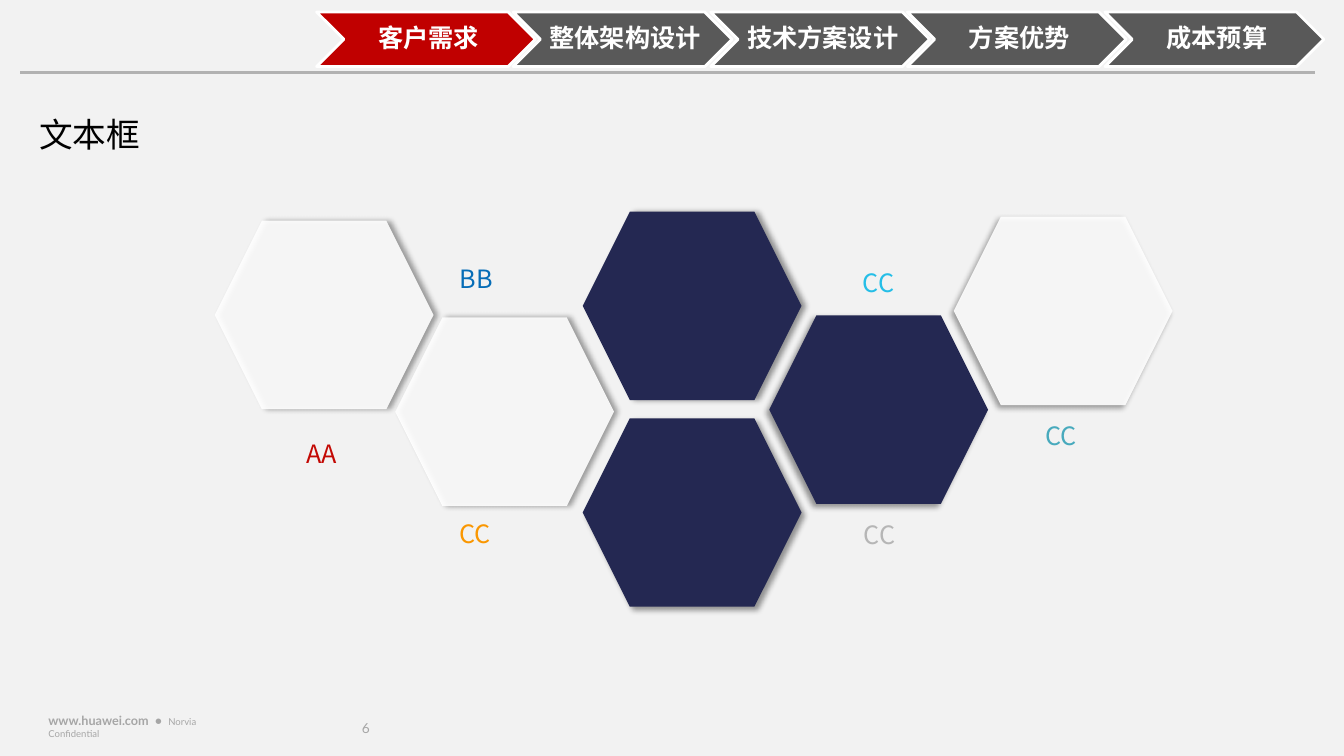
import dataclasses
import typing

import pptx
import pptx.dml.color
import pptx.enum.shapes
import pptx.enum.text
import pptx.oxml
import pptx.oxml.ns
import pptx.oxml.xmlchemy
import pptx.util

PX = 9144
CJK = "Noto Sans CJK SC"
LATIN = "Lato"
NAVY, WHITE, RED, DARK = "242852", "FFFFFF", "C00000", "595959"
SHAPES = pptx.enum.shapes.MSO_SHAPE
ANCHOR = pptx.enum.text.MSO_ANCHOR
FIT = pptx.enum.text.MSO_AUTO_SIZE
CENTER = pptx.enum.text.PP_ALIGN.CENTER


@dataclasses.dataclass(frozen=True)
class Area:
    left: int
    top: int
    width: int
    height: int

    def emu(self) -> list[int]:
        return [side * PX for side in dataclasses.astuple(self)]


@dataclasses.dataclass(frozen=True)
class Span:
    text: str
    size: float
    color: str
    font: str = CJK
    bold: bool = False


@dataclasses.dataclass(frozen=True)
class Hexagon:
    left: int
    top: int
    fill: str
    shadow_angle: int


@dataclasses.dataclass(frozen=True)
class Label:
    text: str
    left: int
    top: int
    width: int
    color: str


HEXAGONS = [
    Hexagon(578, 415, NAVY, 45),
    Hexagon(392, 315, WHITE, 0),
    Hexagon(763, 313, NAVY, 135),
    Hexagon(946, 215, WHITE, 135),
    Hexagon(578, 210, NAVY, 0),
    Hexagon(213, 219, WHITE, 0),
]
LABELS = [
    Label("AA", 294, 430, 134, "C30904"),
    Label("BB", 446, 256, 81, "066DB7"),
    Label("CC", 446, 509, 103, "FA9701"),
    Label("CC", 847, 510, 103, "B6B6B6"),
    Label("CC", 846, 260, 103, "25BEE7"),
    Label("CC", 1027, 412, 103, "48AABD"),
]
STEPS = ["客户需求", "整体架构设计", "技术方案设计", "方案优势", "成本预算"]


def rgb(color: str) -> pptx.dml.color.RGBColor:
    return pptx.dml.color.RGBColor.from_string(color)


def apply(target: typing.Any, formats: dict[str, typing.Any]) -> None:
    for name, value in formats.items():
        setattr(target, name, value)


def child(parent: typing.Any, tag: str, **attributes: typing.Any) -> typing.Any:
    element = pptx.oxml.xmlchemy.OxmlElement(tag)
    for name, value in attributes.items():
        element.set(name, str(value))
    parent.append(element)
    return element


def add_text(
    page: typing.Any,
    area: Area,
    spans: list[Span],
    frame_formats: dict[str, typing.Any],
    para_formats: dict[str, typing.Any],
) -> None:
    frame = page.shapes.add_textbox(*area.emu()).text_frame
    apply(frame, {"word_wrap": True} | frame_formats)
    para = frame.paragraphs[0]
    apply(para, para_formats)
    for span in spans:
        run = para.add_run()
        run.text = span.text
        size = pptx.util.Pt(span.size)
        apply(run.font, {"name": span.font, "size": size, "bold": span.bold})
        run.font.color.rgb = rgb(span.color)
        child(run.font._element, "a:ea", typeface=span.font)


def add_filled(page: typing.Any, kind: typing.Any, area: Area, color: str) -> typing.Any:
    shape = page.shapes.add_shape(kind, *area.emu())
    shape.shadow.inherit = False
    shape.fill.solid()
    shape.fill.fore_color.rgb = rgb(color)
    return shape


def add_hexagon(page: typing.Any, hexagon: Hexagon) -> None:
    area = Area(hexagon.left, hexagon.top, 217, 187)
    shape = add_filled(page, SHAPES.HEXAGON, area, hexagon.fill)
    shape.line.fill.background()
    properties = shape._element.spPr
    if hexagon.fill == WHITE:
        child(properties.find(".//" + pptx.oxml.ns.qn("a:srgbClr")), "a:alpha", val=90000)
    shadow = child(
        properties.find(pptx.oxml.ns.qn("a:effectLst")),
        "a:outerShdw",
        blurRad=pptx.util.Pt(4),
        dist=pptx.util.Pt(3),
        dir=hexagon.shadow_angle * 60000,
        algn="ctr",
        rotWithShape=0,
    )
    child(child(shadow, "a:srgbClr", val="000000"), "a:alpha", val=40000)


def add_step(page: typing.Any, index: int, text: str) -> None:
    left = 314 + index * 391 // 2
    color = DARK if index else RED
    chevron = add_filled(page, SHAPES.CHEVRON, Area(left, 12, 217, 54), color)
    chevron.line.color.rgb = rgb(WHITE)
    chevron.line.width = pptx.util.Pt(2)
    frame_formats = {
        "vertical_anchor": ANCHOR.MIDDLE,
        "margin_left": 8 * PX,
        "margin_top": 3 * PX,
        "margin_right": 3 * PX,
        "margin_bottom": 3 * PX,
    }
    para_formats = {"alignment": CENTER, "line_spacing": 0.9}
    span = Span(text, 18, WHITE, bold=True)
    add_text(page, Area(left + 27, 12, 163, 54), [span], frame_formats, para_formats)


def add_rule(page: typing.Any) -> None:
    straight = pptx.enum.shapes.MSO_CONNECTOR.STRAIGHT
    rule = page.shapes.add_connector(straight, 20 * PX, 72 * PX, 1304 * PX, 72 * PX)
    rule.line.color.rgb = rgb("B2B2B2")
    rule.line.width = pptx.util.Pt(2.25)
    child(rule._element.spPr, "a:effectLst")


def add_footer(page: typing.Any) -> None:
    gray = "A6A6A6"
    sides = ["margin_left", "margin_top", "margin_right", "margin_bottom"]
    middle = {"vertical_anchor": ANCHOR.MIDDLE}
    number = Span("6", 9.8, gray, LATIN)
    flush = middle | dict.fromkeys(sides, 0)
    add_text(page, Area(359, 713, 40, 21), [number], flush, {"line_spacing": 0.85})
    spans = [
        Span("www.huawei.com  •  ", 9, gray, LATIN, True),
        Span("Norvia Confidential", 6.8, gray, LATIN),
    ]
    inset = middle | dict(zip(sides, [7 * PX, 4 * PX, 7 * PX, 4 * PX]))
    add_text(page, Area(41, 709, 209, 23), spans, inset, {})


def main() -> None:
    deck = pptx.Presentation()
    apply(deck, {"slide_width": 1333 * PX, "slide_height": 750 * PX})
    page = deck.slides.add_slide(deck.slide_layouts[6])
    page.background.fill.solid()
    page.background.fill.fore_color.rgb = rgb("F2F2F2")
    add_footer(page)
    grow = {"auto_size": FIT.SHAPE_TO_FIT_TEXT}
    add_text(page, Area(29, 108, 284, 50), [Span("文本框", 24, "000000")], grow, {})
    for hexagon in HEXAGONS:
        add_hexagon(page, hexagon)
    for label in LABELS:
        area = Area(label.left, label.top, label.width, 40)
        add_text(page, area, [Span(label.text, 18, label.color)], grow, {})
    for index, text in enumerate(STEPS):
        add_step(page, index, text)
    add_rule(page)
    deck.save("out.pptx")


if __name__ == "__main__":
    main()
